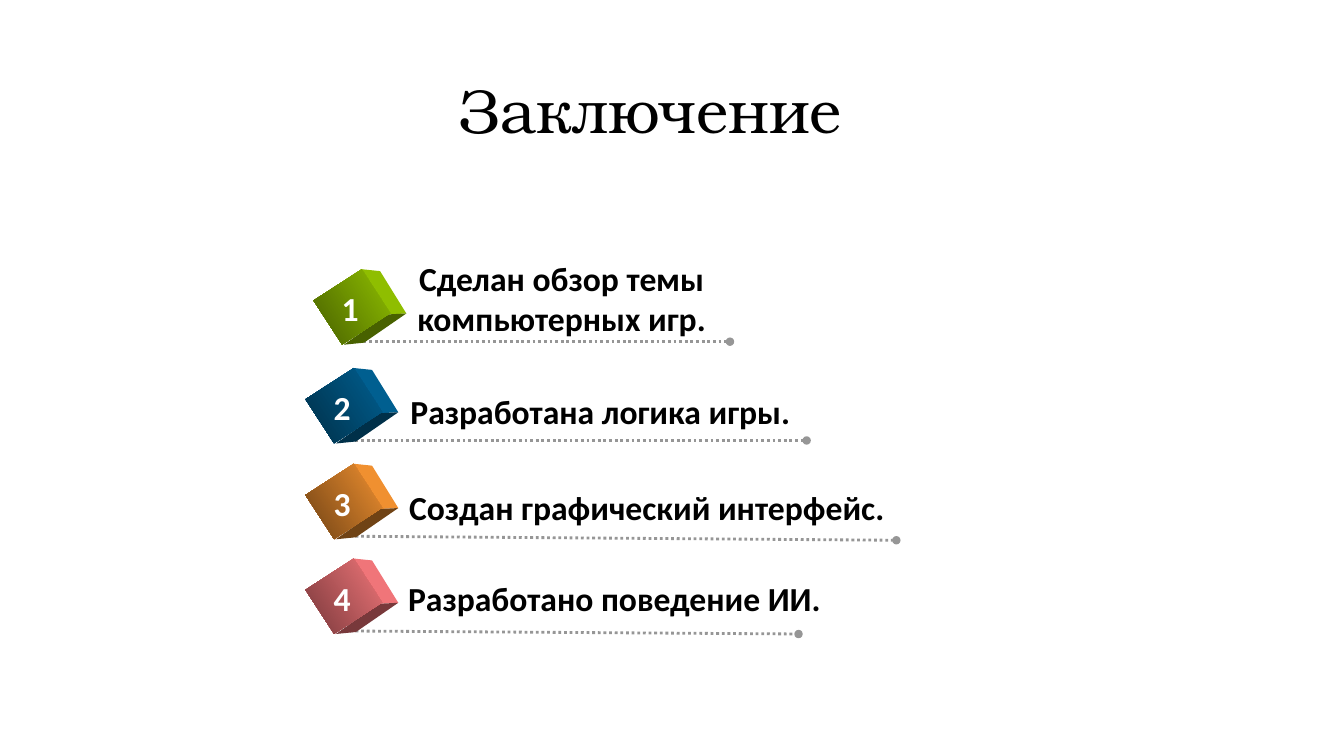
"""Builds the closing slide: a title and four numbered cubes with captions."""
import pptx
import pptx.util
import pptx.dml.color
import pptx.enum.dml
import pptx.enum.shapes
import pptx.enum.text
import pptx.oxml
import pptx.oxml.ns

Inches = pptx.util.Inches
Pt = pptx.util.Pt
Align = pptx.enum.text.PP_ALIGN
Anchor = pptx.enum.text.MSO_ANCHOR
Shape = pptx.enum.shapes.MSO_SHAPE


def tint(code):
    """Turn a hex code into a colour."""
    return pptx.dml.color.RGBColor.from_string(code)


class Theme:
    """Colours, fonts and sizes of the slide."""
    ink, pale, rule = tint("000000"), tint("FFFFFF"), tint("969696")
    cubes = [
        ("8FBE00", "486100"),
        ("005F90", "003049"),
        ("F09030", "704315"),
        ("F07579", "78393B"),
    ]
    title = {"name": "TeX Gyre Bonum", "size": Pt(44), "bold": False}
    label = {"name": "Calibri", "size": Pt(24), "bold": True}
    stroke = Pt(2)


class Deck:
    """Holds the style and the current slide."""

    def __init__(self, theme):
        """Open a wide deck with one titled slide."""
        self.theme = theme
        self.file = pptx.Presentation()
        self.file.slide_width = Inches(13.33)
        self.file.slide_height = Inches(7.5)
        self.slide = self.file.slides.add_slide(self.file.slide_layouts[5])

    def apply(self, item, values):
        """Set each value of a dict on an object."""
        for key, value in values.items():
            setattr(item, key, value)

    def fill(self, frame, text, font, color, align, **extra):
        """Fill a text frame with one styled paragraph."""
        self.apply(frame, extra)
        para = frame.paragraphs[0]
        para.alignment = align
        run = para.add_run()
        run.text = text
        self.apply(run.font, font)
        run.font.color.rgb = color

    def title(self, text, box):
        """Place and fill the title."""
        head = self.slide.shapes.title
        names = ("left", "top", "width", "height")
        self.apply(head, dict(zip(names, map(Inches, box))))
        self.fill(head.text_frame, text, self.theme.title, self.theme.ink,
                  Align.LEFT, vertical_anchor=Anchor.MIDDLE, word_wrap=True)
        head.text_frame.paragraphs[0].line_spacing = 0.9

    def text(self, group, text, box, color, align=Align.LEFT, wrap=False):
        """Add a bold label to a group."""
        area = group.shapes.add_textbox(*map(Inches, box))
        self.fill(area.text_frame, text, self.theme.label, color, align,
                  word_wrap=wrap, vertical_anchor=Anchor.TOP)

    def line(self, group, start, end):
        """Add a dotted line that ends in a dot."""
        rule = group.shapes.add_connector(
            pptx.enum.shapes.MSO_CONNECTOR.STRAIGHT,
            *map(Inches, (*start, *end)))
        rule.line.color.rgb = self.theme.rule
        self.apply(rule.line, {
            "width": self.theme.stroke,
            "dash_style": pptx.enum.dml.MSO_LINE.ROUND_DOT})
        props = rule.element.spPr
        space = pptx.oxml.ns.nsdecls("a")
        props.find(pptx.oxml.ns.qn("a:ln")).append(
            pptx.oxml.parse_xml(f'<a:tailEnd {space} type="oval"/>'))
        props.append(pptx.oxml.parse_xml(f"<a:effectLst {space}/>"))

    def side(self, group, points, color):
        """Add one flat side of a cube."""
        start, *rest = [(Inches(x), Inches(y)) for x, y in points]
        maker = group.shapes.build_freeform(*start, scale=1.0)
        maker.add_line_segments(rest, close=True)
        face = maker.convert_to_shape()
        face.shadow.inherit = False
        face.fill.solid()
        face.fill.fore_color.rgb = color
        face.line.fill.background()

    def cube(self, group, left, top, colors):
        """Add a tilted cube with a shaded front."""
        light, dark = map(tint, colors)
        right = [(0.35, -0.09), (0.54, -0.07), (0.8, 0.35), (0.61, 0.36)]
        under = [(0.18, 0.66), (0.61, 0.36), (0.8, 0.35), (0.38, 0.64)]
        for points, color in ((right, light), (under, dark)):
            self.side(group, [(left + x, top + y) for x, y in points], color)
        front = group.shapes.add_shape(
            Shape.RECTANGLE, *map(Inches, (left, top, 0.52, 0.57)))
        front.rotation = 57
        front.shadow.inherit = False
        front.line.fill.background()
        front.fill.gradient()
        front.fill.gradient_angle = 270
        for stop, color in zip(front.fill.gradient_stops, (light, dark)):
            stop.color.rgb = color

    def row(self, digit, left, top, end, text, box, align, wrap):
        """Add a numbered cube with its line and caption."""
        group = self.slide.shapes.add_group_shape()
        self.line(group, (left + 0.32, top + 0.63), end)
        self.cube(group, left, top, self.theme.cubes[digit - 1])
        self.text(group, text, box, self.theme.ink, align, wrap)
        self.text(group, str(digit), (left + 0.06, top + 0.05, 0.39, 0.5),
                  self.theme.pale)


def main():
    """Build and save the slide."""
    deck = Deck(Theme())
    deck.title("Заключение", (4.45, 0.4, 4.12, 1.45))
    rows = [
        (3.23, 2.76, (7.24, 3.39), "Сделан обзор темы компьютерных игр.",
         (3.6, 2.51, 3.94, 0.91), Align.CENTER, True),
        (3.15, 3.74, (8, 4.37), "Разработана логика игры.",
         (3.95, 3.83, 4.01, 0.51), Align.CENTER, False),
        (3.15, 4.69, (8.89, 5.36), "Создан графический интерфейс.",
         (3.93, 4.78, 4.97, 0.51), Align.CENTER, False),
        (3.15, 5.63, (7.92, 6.29), "Разработано поведение ИИ.",
         (3.95, 5.68, 4.34, 0.51), Align.LEFT, False),
    ]
    for digit, row in enumerate(rows, 1):
        deck.row(digit, *row)
    deck.file.save("out.pptx")


if __name__ == "__main__":
    main()
